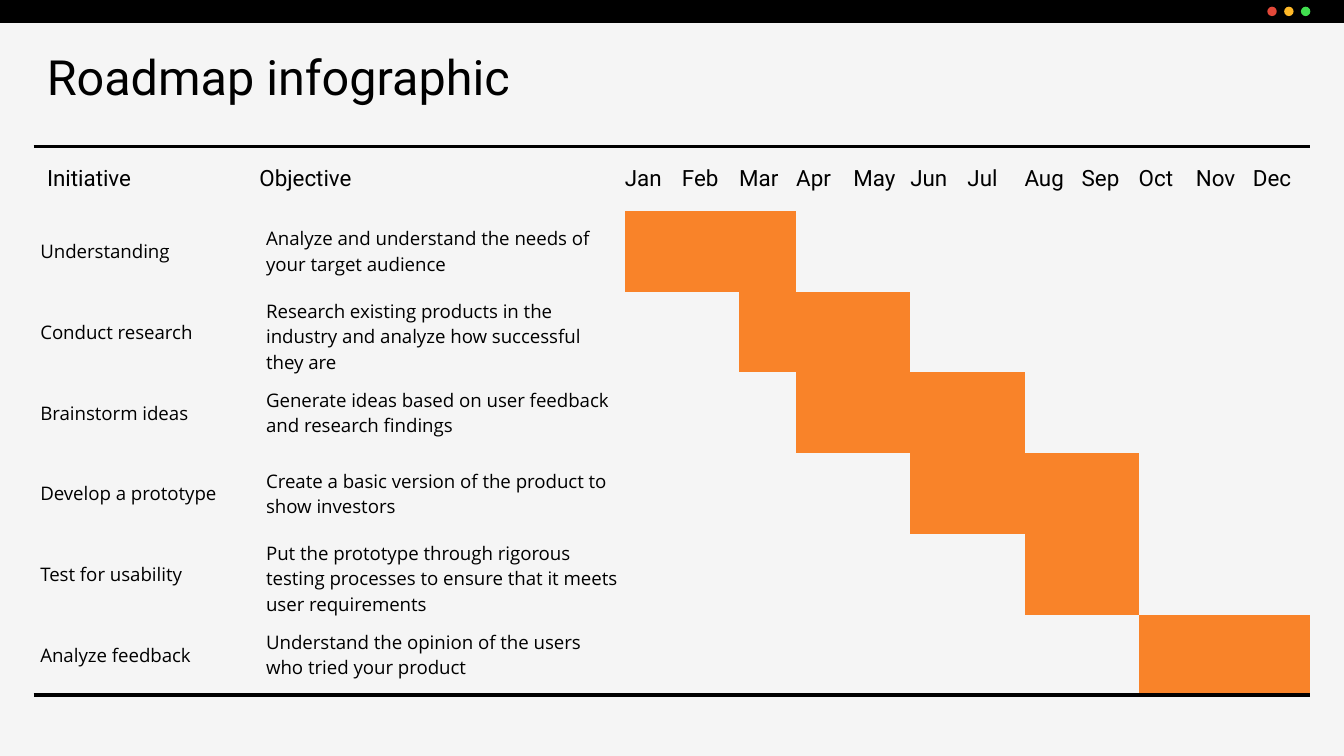
from dataclasses import dataclass

from lxml import etree
from pptx import Presentation
from pptx.dml.color import RGBColor
from pptx.enum.shapes import MSO_SHAPE
from pptx.enum.text import MSO_ANCHOR
from pptx.oxml.ns import qn
from pptx.util import Inches, Pt

RECT, OVAL = MSO_SHAPE.RECTANGLE, MSO_SHAPE.OVAL
MIDDLE = MSO_ANCHOR.MIDDLE

BLACK, PAPER, ORANGE = "000000", "F5F5F5", "F98329"
HEAD_FONT, BODY_FONT = "Roboto", "Open Sans"
MONTHS = "Jan Feb Mar Apr May Jun Jul Aug Sep Oct Nov Dec".split()
COL_WIDTHS = [1.68, 2.72] + [5.1 / 12] * len(MONTHS)
HEAD_HEIGHT, ROW_HEIGHT = 0.48, 0.6
RULE_WIDTH = 2.25


@dataclass
class Initiative:
    name: str
    objective: str
    first: str
    last: str

    def covers(self, month: str) -> bool:
        start, end = MONTHS.index(self.first), MONTHS.index(self.last)
        return start <= MONTHS.index(month) <= end


INITIATIVES = [
    Initiative("Understanding",
               "Analyze and understand the needs of your target audience",
               "Jan", "Mar"),
    Initiative("Conduct research",
               "Research existing products in the industry and analyze how "
               "successful they are", "Mar", "May"),
    Initiative("Brainstorm ideas",
               "Generate ideas based on user feedback and research findings",
               "Apr", "Jul"),
    Initiative("Develop a prototype",
               "Create a basic version of the product to show investors",
               "Jun", "Sep"),
    Initiative("Test for usability",
               "Put the prototype through rigorous testing processes to ensure "
               "that it meets user requirements", "Aug", "Sep"),
    Initiative("Analyze feedback",
               "Understand the opinion of the users who tried your product",
               "Oct", "Dec"),
]


def rgb(color: str) -> RGBColor:
    return RGBColor.from_string(color)


def add_text(tf, text: str, font: str, size: float) -> None:
    r = tf.paragraphs[0].add_run()
    r.text = text
    r.font.name = font
    r.font.size = Pt(size)
    r.font.color.rgb = rgb(BLACK)


def add_block(s, kind, x: float, y: float, w: float, h: float, color: str) -> None:
    sp = s.shapes.add_shape(kind, Inches(x), Inches(y), Inches(w), Inches(h))
    sp.shadow.inherit = False
    sp.fill.solid()
    sp.fill.fore_color.rgb = rgb(color)
    sp.line.fill.background()


def set_borders(cell, ruled: str) -> None:
    """Rule the sides named in ruled (letters of LRTB) and clear the others."""
    tc_pr = cell._tc.get_or_add_tcPr()
    for i, side in enumerate("LRTB"):
        ln = etree.Element(qn(f"a:ln{side}"))
        if side in ruled:
            ln.set("w", str(Pt(RULE_WIDTH)))
            fill = etree.SubElement(ln, qn("a:solidFill"))
            etree.SubElement(fill, qn("a:srgbClr")).set("val", BLACK)
        else:
            etree.SubElement(ln, qn("a:noFill"))
        tc_pr.insert(i, ln)


def style_cell(cell, inset_x: float, inset_y: float, ruled: str = "",
               color: str = "") -> None:
    cell.vertical_anchor = MIDDLE
    cell.margin_left = cell.margin_right = Inches(inset_x)
    cell.margin_top = cell.margin_bottom = Inches(inset_y)
    if color:
        cell.fill.solid()
        cell.fill.fore_color.rgb = rgb(color)
    else:
        cell.fill.background()
    set_borders(cell, ruled)


def add_roadmap(s) -> None:
    n_rows = len(INITIATIVES) + 1
    height = HEAD_HEIGHT + ROW_HEIGHT * len(INITIATIVES)
    table = s.shapes.add_table(n_rows, len(COL_WIDTHS), Inches(0.25), Inches(1.09),
                               Inches(sum(COL_WIDTHS)), Inches(height)).table
    table.first_row = table.horz_banding = False
    for column, width in zip(table.columns, COL_WIDTHS):
        column.width = Inches(width)
    for i, row in enumerate(table.rows):
        row.height = Inches(ROW_HEIGHT if i else HEAD_HEIGHT)

    for col, heading in enumerate(["Initiative", "Objective"] + MONTHS):
        cell = table.cell(0, col)
        add_text(cell.text_frame, heading, HEAD_FONT, 12)
        style_cell(cell, 0 if col else 0.1, 0 if col else 0.07, "T")

    for row, item in enumerate(INITIATIVES, start=1):
        ruled = "B" if row == len(INITIATIVES) else ""
        for col, text in enumerate([item.name, item.objective]):
            cell = table.cell(row, col)
            add_text(cell.text_frame, text, BODY_FONT, 10)
            style_cell(cell, 0.05, 0.05, ruled)
        for col, month in enumerate(MONTHS, start=2):
            color = ORANGE if item.covers(month) else ""
            style_cell(table.cell(row, col), 0.05, 0.05, ruled, color)


def main() -> None:
    prs = Presentation()
    prs.slide_width, prs.slide_height = Inches(10), Inches(5.625)
    s = prs.slides.add_slide(prs.slide_layouts[6])
    s.background.fill.solid()
    s.background.fill.fore_color.rgb = rgb(PAPER)

    add_block(s, RECT, 0, 0, 10, 0.17, BLACK)
    for i, color in enumerate(["41DF4F", "FFB928", "E34839"]):
        add_block(s, OVAL, 9.68 - 0.125 * i, 0.05, 0.07, 0.07, color)

    title = s.shapes.add_textbox(Inches(0.25), Inches(0.25), Inches(9.5), Inches(0.63))
    tf = title.text_frame
    tf.word_wrap = True
    tf.margin_left = tf.margin_right = tf.margin_top = tf.margin_bottom = Inches(0.1)
    add_text(tf, "Roadmap infographic", HEAD_FONT, 26)

    add_roadmap(s)
    prs.save("out.pptx")


if __name__ == "__main__":
    main()
